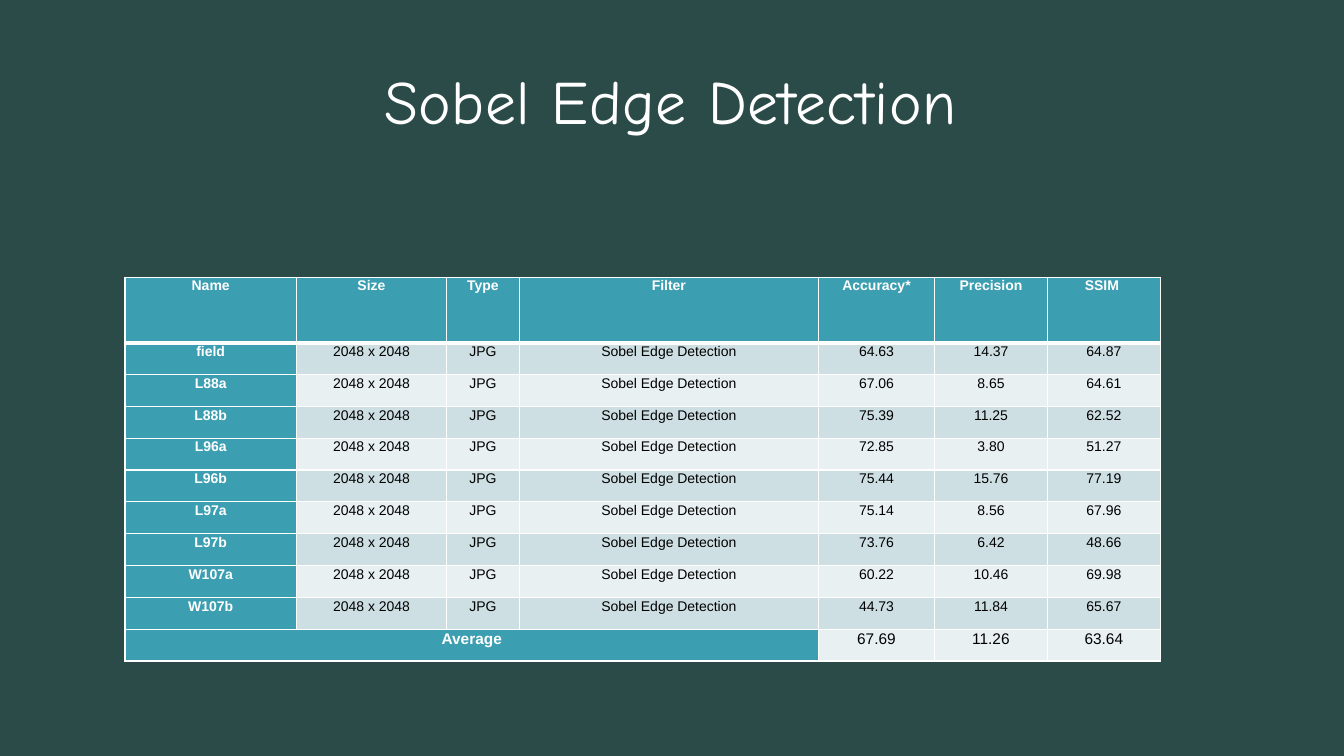
from lxml.etree import SubElement
from pptx import Presentation
from pptx.dml.color import RGBColor
from pptx.enum.text import MSO_ANCHOR, PP_ALIGN
from pptx.oxml.ns import qn
from pptx.util import Inches, Pt

BACKGROUND = RGBColor(0x2B, 0x4B, 0x49)
TEAL = RGBColor(0x3B, 0x9E, 0xB1)
BAND_DARK = RGBColor(0xCE, 0xDF, 0xE4)
BAND_LIGHT = RGBColor(0xE8, 0xF0, 0xF2)
WHITE = RGBColor(0xFF, 0xFF, 0xFF)
BLACK = RGBColor(0x00, 0x00, 0x00)

SLIDE_W, SLIDE_H = Inches(13.33), Inches(7.5)

# Percentages of the slide's width and height
TITLE_BOX = (5.93, 9.07, 88, 9.6)
TABLE_LEFT, TABLE_TOP = 9.3, 36.67
COLUMN_WIDTHS = (12.75, 11.18, 5.4, 22.28, 8.63, 8.4, 8.4)
HEADER_HEIGHT, ROW_HEIGHT = 8.67, 4.21

FILTER = "Sobel Edge Detection"
HEADERS = ("Name", "Size", "Type", "Filter", "Accuracy*", "Precision", "SSIM ")
SCORES = (
    ("field", "64.63", "14.37", "64.87"),
    ("L88a", "67.06", "8.65", "64.61"),
    ("L88b", "75.39", "11.25", "62.52"),
    ("L96a", "72.85", "3.80", "51.27"),
    ("L96b", "75.44", "15.76", "77.19"),
    ("L97a", "75.14", "8.56", "67.96"),
    ("L97b", "73.76", "6.42", "48.66"),
    ("W107a", "60.22", "10.46", "69.98"),
    ("W107b", "44.73", "11.84", "65.67"),
)
AVERAGE = ("Average", "", "", "", "67.69", "11.26", "63.64")


def across(percent):
    return int(SLIDE_W * percent / 100)


def down(percent):
    return int(SLIDE_H * percent / 100)


def style_paragraph(p, font, size, color, bold, line_spacing):
    p.alignment = PP_ALIGN.CENTER
    p.line_spacing = line_spacing
    for r in p.runs:
        r.font.name = font
        r.font.size = Pt(size)
        r.font.bold = bold
        r.font.color.rgb = color


def add_title(slide, text):
    left, top, width, height = TITLE_BOX
    box = slide.shapes.add_textbox(across(left), down(top), across(width), down(height))
    tf = box.text_frame
    tf.word_wrap = True
    tf.vertical_anchor = MSO_ANCHOR.MIDDLE
    tf.margin_left = tf.margin_right = tf.margin_top = tf.margin_bottom = 0
    tf.text = text
    p = tf.paragraphs[0]
    style_paragraph(p, "Comic Neue", 44, WHITE, False, 0.88)
    p.runs[0].font._element.set("spc", "40")


def set_borders(cell, top=1, bottom=1):
    """Draw white borders; widths are in points."""
    tc_pr = cell._tc.get_or_add_tcPr()
    for side, width in (("L", 1), ("R", 1), ("T", top), ("B", bottom)):
        ln = SubElement(tc_pr, qn(f"a:ln{side}"), w=str(Pt(width)))
        fill = SubElement(ln, qn("a:solidFill"))
        SubElement(fill, qn("a:srgbClr"), val=str(WHITE))


def style_cell(cell, text, fill, size, is_heading):
    cell.margin_left = cell.margin_right = Inches(0.07)
    cell.margin_top = cell.margin_bottom = 0
    cell.fill.solid()
    cell.fill.fore_color.rgb = fill
    cell.text_frame.text = text
    p = cell.text_frame.paragraphs[0]
    p.space_before = Pt(12)
    style_paragraph(p, "Arial", size, WHITE if is_heading else BLACK, is_heading, 1.07)


def add_score_table(slide):
    body = [(name, "2048 x 2048", "JPG", FILTER, *values) for name, *values in SCORES]
    rows = [HEADERS, *body, AVERAGE]
    last = len(rows) - 1
    heights = [HEADER_HEIGHT] + [ROW_HEIGHT] * last
    table = slide.shapes.add_table(
        len(rows), len(HEADERS), across(TABLE_LEFT), down(TABLE_TOP),
        across(sum(COLUMN_WIDTHS)), down(sum(heights))).table
    for column, width in zip(table.columns, COLUMN_WIDTHS):
        column.width = across(width)
    for i, (values, height) in enumerate(zip(rows, heights)):
        table.rows[i].height = down(height)
        band = BAND_DARK if i % 2 else BAND_LIGHT
        for j, text in enumerate(values):
            cell = table.cell(i, j)
            is_heading = i == 0 or j == 0
            set_borders(cell, top=3 if i == 1 else 1, bottom=3 if i == 0 else 1)
            style_cell(cell, text, TEAL if is_heading else band,
                       11 if i == last else 10, is_heading)
    table.cell(last, 0).merge(table.cell(last, HEADERS.index("Filter")))


def main():
    prs = Presentation()
    prs.slide_width, prs.slide_height = SLIDE_W, SLIDE_H
    slide = prs.slides.add_slide(prs.slide_layouts[6])
    slide.background.fill.solid()
    slide.background.fill.fore_color.rgb = BACKGROUND
    add_title(slide, FILTER)
    add_score_table(slide)
    prs.save("out.pptx")


if __name__ == "__main__":
    main()
